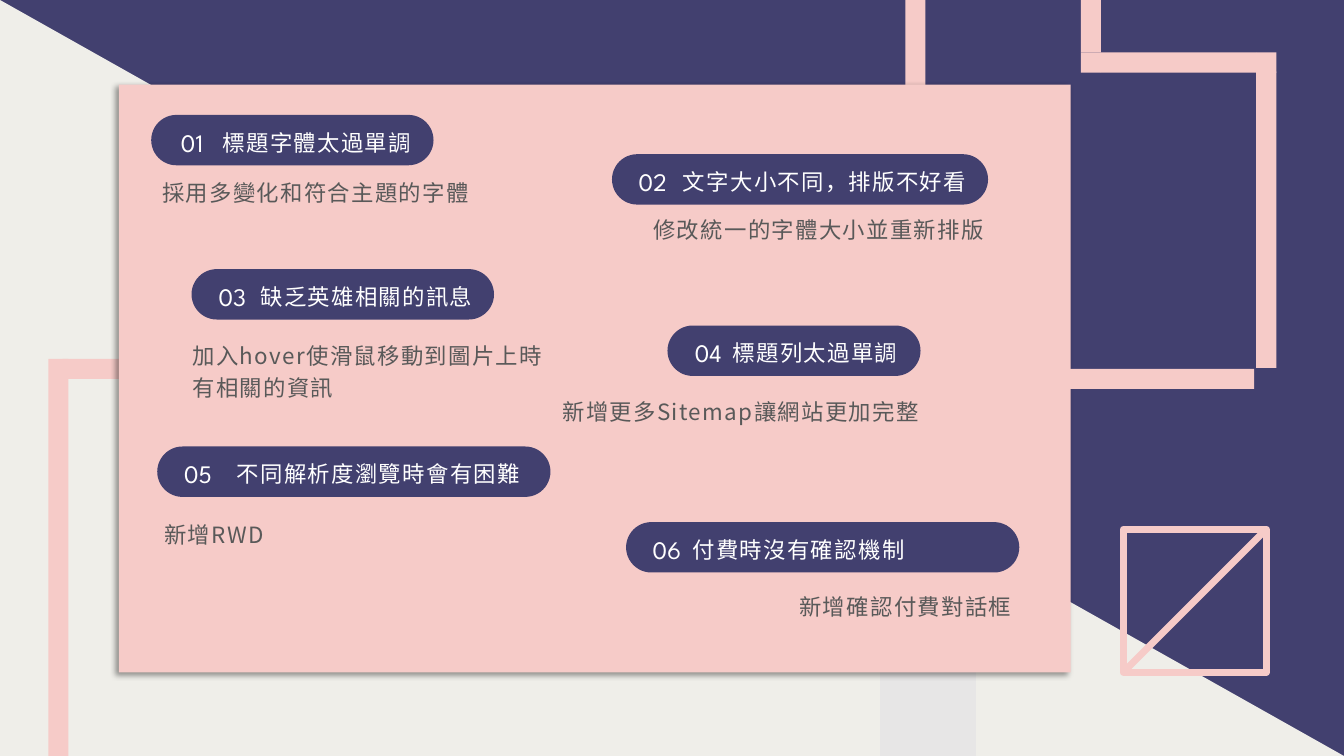
"""Build a slide of six website problems, each with its fix, on a pink card."""
from lxml import etree
from pptx import Presentation
from pptx import util as u
from pptx.dml.color import RGBColor
from pptx.enum import shapes, text
from pptx.oxml.ns import qn

NAVY, PINK, CREAM, GREY = "42406F", "F6CBC8", "EFEEE9", "E7E6E6"
WHITE, BODY = "FFFFFF", "595959"
SANS, DISPLAY = "Noto Sans CJK SC", "League Spartan"
LEFT, CENTER, RIGHT = text.PP_ALIGN.LEFT, text.PP_ALIGN.CENTER, text.PP_ALIGN.RIGHT

# number, pill (left, top, width), heading, (left, width, align), fix, (left, top, width, height, align)
ISSUES = [
    ("03", (1.9, 2.67, 3), "缺乏英雄相關的訊息", (2.38, 2.51, CENTER),
     "加入hover使滑鼠移動到圖片上時有相關的資訊", (1.81, 3.29, 3.9, 0.72, LEFT)),
    ("02", (6.07, 1.53, 3.73), "文字大小不同，排版不好看", (6.56, 3.24, CENTER),
     "修改統一的字體大小並重新排版", (6.3, 2.04, 3.56, 0.4, RIGHT)),
    ("01", (1.5, 1.14, 2.8), "標題字體太過單調", (1.99, 2.31, CENTER),
     "採用多變化和符合主題的字體", (1.51, 1.68, 3.36, 0.4, LEFT)),
    ("05", (1.56, 4.43, 3.9), "不同解析度瀏覽時會有困難", (2.05, 3.41, CENTER),
     "新增RWD", (1.53, 5.07, 2.04, 0.4, LEFT)),
    ("04", (6.62, 3.23, 2.51), "標題列太過單調", (7.11, 1.95, CENTER),
     "新增更多Sitemap讓網站更加完整", (5.39, 3.85, 3.91, 0.4, CENTER)),
    ("06", (6.21, 5.18, 3.9), "付費時沒有確認機制", (6.77, 3.41, LEFT),
     "新增確認付費對話框", (7.75, 5.78, 2.46, 0.4, CENTER)),
]
BACK_PANELS = [
    ((0.48, 3.56, 0.2, 3.94), PINK),
    ((0.62, 3.56, 2.52, 0.2), PINK),
    ((8.98, 0, 0.2, 7.5), PINK),
    ((8.73, 1.97, 0.95, 5.53), GREY),
]
CARD = (1.18, 0.84, 9.44, 5.83)
FRAME_BARS = [
    (10.72, 0.52, 0.2, 0.2),
    (10.72, 0, 0.2, 0.52),
    (12.46, 0.52, 0.2, 0.2),
    (10.92, 0.52, 1.54, 0.2),
    (12.46, 0.71, 0.2, 2.94),
]
LOWER_BAR = (9.92, 3.66, 2.52, 0.2)
SQUARE = (11.14, 5.25, 1.42, 1.42)


def color(value):
    return RGBColor.from_string(value)


def inches(values):
    return [u.Inches(value) for value in values]


def add_panel(parent, box, fill=None, kind=shapes.MSO_SHAPE.RECTANGLE):
    shape = parent.add_shape(kind, *inches(box))
    shape.shadow.inherit = False
    shape.line.fill.background()
    if fill:
        shape.fill.solid()
        shape.fill.fore_color.rgb = color(fill)
    else:
        shape.fill.background()
    return shape


def add_text(parent, box, words, *, size=16, font=SANS, ink=WHITE, align=CENTER,
             spacing=None, tracking=None):
    shape = parent.add_textbox(*inches(box))
    frame = shape.text_frame
    frame.word_wrap = True
    frame.auto_size = text.MSO_AUTO_SIZE.SHAPE_TO_FIT_TEXT
    paragraph = frame.paragraphs[0]
    paragraph.alignment = align
    paragraph.line_spacing = spacing
    run = paragraph.add_run()
    run.text = words
    run.font.size = u.Pt(size)
    run.font.name = font
    run.font.color.rgb = color(ink)
    properties = run.font._element
    etree.SubElement(properties, qn("a:ea"), typeface=font)
    if tracking:
        properties.set("spc", str(tracking * 100))


def add_shadow(shape):
    effects = shape._element.spPr.find(qn("a:effectLst"))
    shadow = etree.SubElement(effects, qn("a:outerShdw"), blurRad=str(u.Pt(4)),
                              dist=str(u.Pt(3)), dir=str(135 * 60000),
                              algn="tr", rotWithShape="0")
    tint = etree.SubElement(shadow, qn("a:srgbClr"), val="000000")
    etree.SubElement(tint, qn("a:alpha"), val="40000")


def add_issue(slide, number, pill, heading, heading_place, fix, fix_place):
    group = slide.shapes.add_group_shape().shapes
    left, top, width = pill
    shape = add_panel(group, (left, top, width, 0.5), NAVY, shapes.MSO_SHAPE.ROUNDED_RECTANGLE)
    shape.adjustments[0] = 0.5
    heading_left, heading_width, heading_align = heading_place
    add_text(group, (heading_left, top + 0.09, heading_width, 0.37), heading,
             align=heading_align, tracking=1)
    add_text(group, (left + 0.15, top + 0.07, 0.51, 0.4), number, size=18, font=DISPLAY)
    *fix_box, fix_align = fix_place
    add_text(group, fix_box, fix, ink=BODY, align=fix_align, spacing=1.2, tracking=1)


def add_crossed_square(slide):
    left, top, width, height = SQUARE
    square = add_panel(slide.shapes, SQUARE)
    diagonal = slide.shapes.add_connector(
        shapes.MSO_CONNECTOR.STRAIGHT, *inches((left, top + height, left + width, top)))
    etree.SubElement(diagonal._element.spPr, qn("a:effectLst"))
    for shape in (square, diagonal):
        shape.line.color.rgb = color(PINK)
        shape.line.width = u.Pt(5)


def main():
    presentation = Presentation()
    presentation.slide_width, presentation.slide_height = inches((13.33, 7.5))
    slide = presentation.slides.add_slide(presentation.slide_layouts[6])
    slide.background.fill.solid()
    slide.background.fill.fore_color.rgb = color(NAVY)
    add_panel(slide.shapes, (0, 0, 13.33, 7.5), CREAM, shapes.MSO_SHAPE.RIGHT_TRIANGLE)
    for box, fill in BACK_PANELS:
        add_panel(slide.shapes, box, fill)
    add_shadow(add_panel(slide.shapes, CARD, PINK))
    for box in FRAME_BARS:
        add_panel(slide.shapes, box, PINK)
    add_crossed_square(slide)
    for issue in ISSUES:
        add_issue(slide, *issue)
    add_panel(slide.shapes, LOWER_BAR, PINK)
    presentation.save("out.pptx")


if __name__ == "__main__":
    main()
